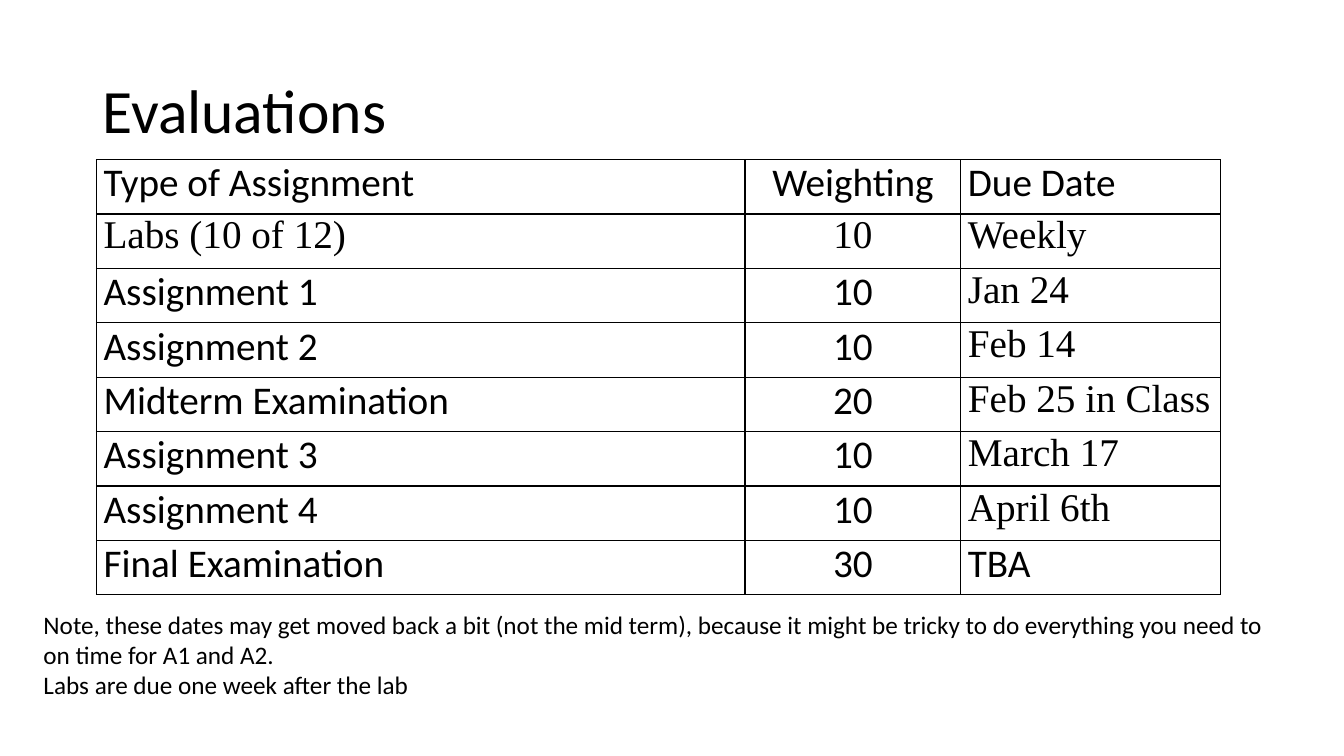
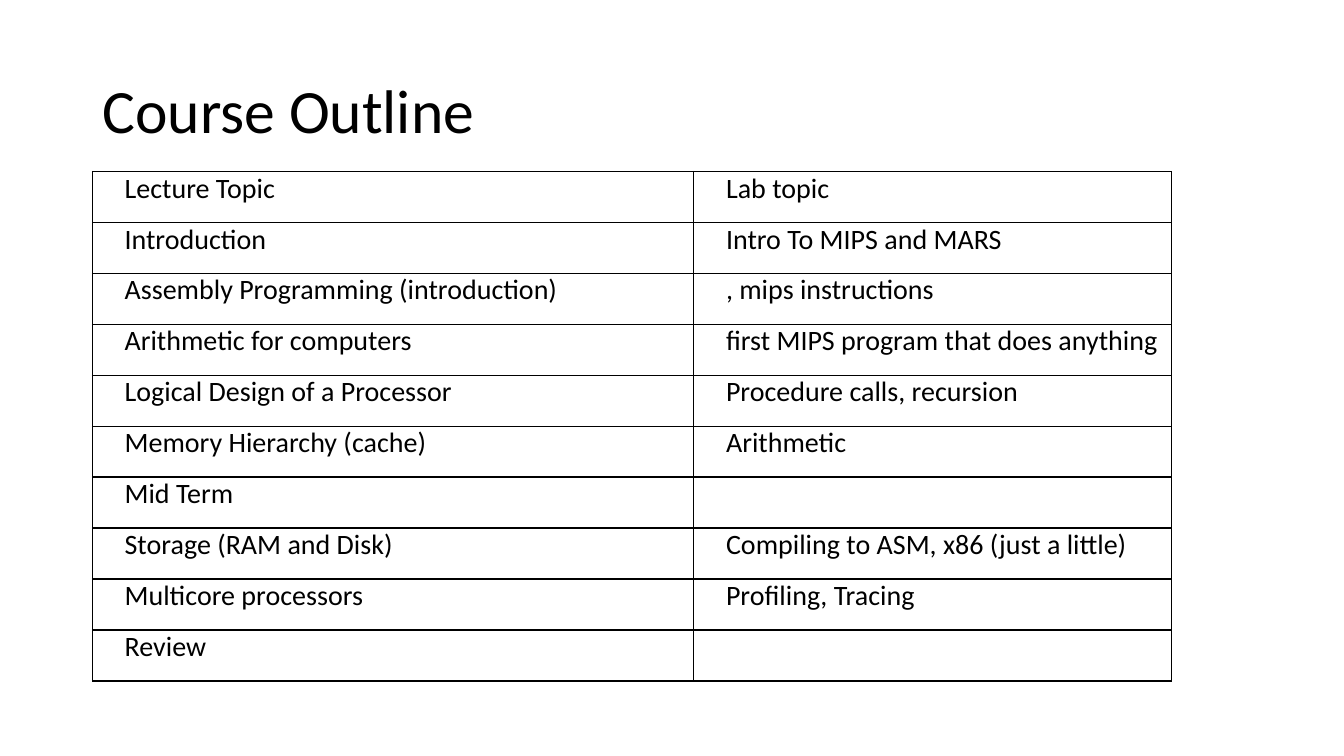
from lxml import etree
from pptx import Presentation
from pptx import util as u
from pptx.dml.color import RGBColor
from pptx.enum import text
from pptx.oxml import ns

COLORS = {"ink": "000000", "paper": "FFFFFF"}
SANS, SERIF = "Calibri", "Times New Roman"
INK = RGBColor.from_string(COLORS["ink"])
TITLE_ONLY = 5
GRID = u.Inches(1) / 12  # the slide is 160 columns by 90 rows


def add_run(paragraph, words, size, font=SANS):
    run = paragraph.add_run()
    run.text = words
    run.font.size = u.Pt(size)
    run.font.name = font
    run.font.color.rgb = INK


def add_table(slide, left, top, widths, row_height, rows, size, indent=0, centered=()):
    """Add a ruled table measured in grid units; each cell is (words, font)."""
    shape = slide.shapes.add_table(
        len(rows), len(widths), int(left * GRID), int(top * GRID),
        int(sum(widths) * GRID), int(len(rows) * row_height * GRID))
    table = shape.table
    table.first_row = table.horz_banding = False
    for column, width in zip(table.columns, widths):
        column.width = int(width * GRID)
    for row, entries in zip(table.rows, rows):
        row.height = int(row_height * GRID)
        for number, (cell, (words, font)) in enumerate(zip(row.cells, entries)):
            cell.margin_left = cell.margin_right = u.Inches(0.07)
            cell.margin_top = cell.margin_bottom = 0
            properties = cell._tc.get_or_add_tcPr()
            for side in ("lnL", "lnR", "lnT", "lnB"):
                line = etree.SubElement(properties, ns.qn(f"a:{side}"), w=str(u.Pt(1)))
                fill = etree.SubElement(line, ns.qn("a:solidFill"))
                etree.SubElement(fill, ns.qn("a:srgbClr"), val=COLORS["ink"])
            cell.fill.background()
            paragraph = cell.text_frame.paragraphs[0]
            if indent:
                paragraph._p.get_or_add_pPr().set("marL", str(int(indent * GRID)))
            if number in centered:
                paragraph.alignment = text.PP_ALIGN.CENTER
            if words:
                add_run(paragraph, words, size, font)


presentation = Presentation()
presentation.slide_width = int(160 * GRID)
presentation.slide_height = int(90 * GRID)
background = presentation.slide_master.background.fill
background.solid()
background.fore_color.rgb = RGBColor.from_string(COLORS["paper"])

slides = []
for heading in ("Evaluations", "Course Outline"):
    slide = presentation.slides.add_slide(presentation.slide_layouts[TITLE_ONLY])
    title = slide.shapes.title
    title.left, title.top = int(11 * GRID), int(4.8 * GRID)
    title.width, title.height = int(138 * GRID), int(17.4 * GRID)
    title.text_frame.vertical_anchor = text.MSO_ANCHOR.MIDDLE
    title.text_frame.auto_size = text.MSO_AUTO_SIZE.NONE
    paragraph = title.text_frame.paragraphs[0]
    paragraph.alignment = text.PP_ALIGN.LEFT
    paragraph.line_spacing = 0.9
    add_run(paragraph, heading, 44)
    slides.append(slide)
evaluations, outline = slides

# Evaluations
note = evaluations.shapes.add_textbox(
    int(4 * GRID), int(71.9 * GRID), int(149 * GRID), int(12.1 * GRID))
frame = note.text_frame
frame.word_wrap = True
frame.auto_size = text.MSO_AUTO_SIZE.SHAPE_TO_FIT_TEXT
add_run(frame.paragraphs[0],
        "Note, these dates may get moved back a bit (not the mid term), because it "
        "might be tricky to do everything you need to on time for A1 and A2.", 18)
add_run(frame.add_paragraph(), "Labs are due one week after the lab", 18)

assessments = [
    ("Type of Assignment", "Weighting", "Due Date", (SANS, SANS, SANS)),
    ("Labs (10 of 12)", "10", "Weekly", (SERIF, SERIF, SERIF)),
    ("Assignment 1", "10", "Jan 24", (SANS, SANS, SERIF)),
    ("Assignment 2", "10", "Feb 14", (SANS, SANS, SERIF)),
    ("Midterm Examination", "20", "Feb 25 in Class", (SANS, SANS, SERIF)),
    ("Assignment 3", "10", "March 17", (SANS, SANS, SERIF)),
    ("Assignment 4", "10", "April 6th", (SANS, SANS, SERIF)),
    ("Final Examination", "30", "TBA", (SANS, SANS, SANS)),
]
assessment_rows = [list(zip(words, fonts)) for *words, fonts in assessments]
add_table(evaluations, 11.5, 19, [77.2, 25.7, 30.9], 6.48, assessment_rows, 28,
          centered=(1,))

# Course Outline
topics = [
    ("Lecture Topic", "Lab topic"),
    ("Introduction", "Intro To MIPS and MARS"),
    ("Assembly Programming (introduction)", ", mips instructions"),
    ("Arithmetic for computers", "first MIPS program that does anything"),
    ("Logical Design of a Processor", "Procedure calls, recursion"),
    ("Memory Hierarchy (cache)", "Arithmetic"),
    ("Mid Term", ""),
    ("Storage (RAM and Disk)", "Compiling to ASM, x86 (just a little)"),
    ("Multicore processors", "Profiling, Tracing"),
    ("Review", ""),
]
topic_rows = [[(words, SANS) for words in topic] for topic in topics]
add_table(outline, 11, 20.4, [71.6, 56.9], 6.07, topic_rows, 20, indent=3)

presentation.save("out.pptx")
